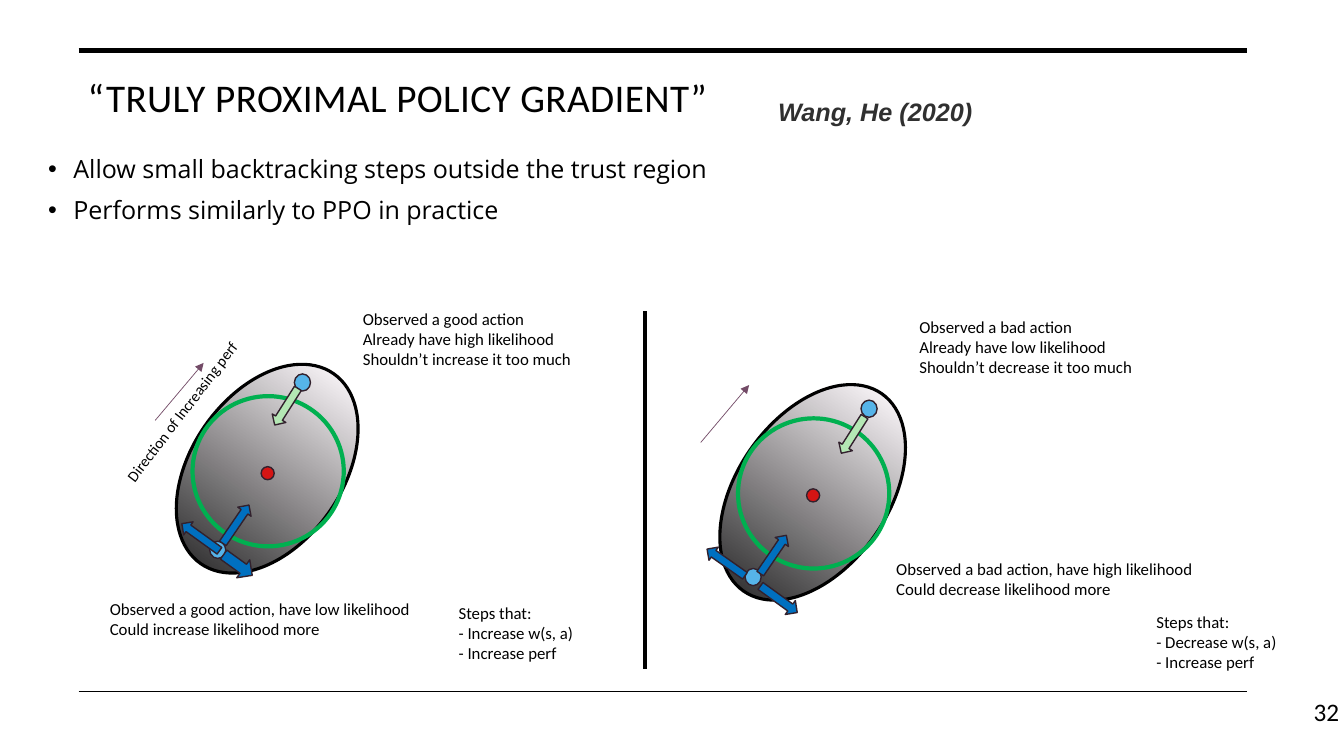
from copy import deepcopy

from lxml import etree
from pptx import Presentation
from pptx.dml.color import RGBColor
from pptx.enum.shapes import MSO_CONNECTOR, MSO_SHAPE
from pptx.enum.text import MSO_ANCHOR, PP_ALIGN
from pptx.oxml.ns import qn
from pptx.util import Inches, Pt

LINE = MSO_CONNECTOR.STRAIGHT
OVAL, ARROW = MSO_SHAPE.OVAL, MSO_SHAPE.DOWN_ARROW
LEFT, RIGHT = PP_ALIGN.LEFT, PP_ALIGN.RIGHT
TOP, MIDDLE = MSO_ANCHOR.TOP, MSO_ANCHOR.MIDDLE

COLORS = {
    "black": "000000", "light": "F9F5F8", "outline": "32212D", "red": "D51514",
    "sky": "56B4E9", "ring": "00B050", "blue": "0070C0", "mint": "B4E7B4",
    "plum": "734B67", "cite": "303030",
}
RGB = {name: RGBColor.from_string(value) for name, value in COLORS.items()}
U = Inches(0.1)  # grid unit: every position below counts columns and rows of it

prs = Presentation()
prs.slide_width, prs.slide_height = Inches(13.33), Inches(7.5)
s = prs.slides.add_slide(prs.slide_layouts[6])


def add_part(kind, grid, color, width, fill=None, angle=0):
    """Line (grid is x1, y1, x2, y2) or shape (grid is x, y, w, h)."""
    place = [round(v * U) for v in grid]
    if kind == LINE:
        sp = s.shapes.add_connector(kind, *place)
        etree.SubElement(sp._element.spPr, qn("a:effectLst"))
    else:
        sp = s.shapes.add_shape(kind, *place)
        sp.shadow.inherit = False
        sp.rotation = angle
        if fill:
            sp.fill.solid()
            sp.fill.fore_color.rgb = RGB[fill]
        else:
            sp.fill.background()
    sp.line.color.rgb = RGB[color]
    sp.line.width = Pt(width)
    return sp


def add_text(grid, lines, size=12, font="Calibri", color="black", align=LEFT,
             anchor=TOP, bullet=False, angle=0, **style):
    sp = s.shapes.add_textbox(*[round(v * U) for v in grid])
    sp.rotation = angle
    tf = sp.text_frame
    tf.word_wrap = True
    tf.vertical_anchor = anchor
    for i, line in enumerate(lines):
        p = tf.paragraphs[0] if i == 0 else tf.add_paragraph()
        p.alignment = align
        if bullet:
            p.line_spacing = 0.9
            p.space_before = Pt(10 if i else 0)
            pPr = p._p.get_or_add_pPr()
            pPr.set("marL", str(Inches(0.25)))
            pPr.set("indent", str(-Inches(0.25)))
            etree.SubElement(pPr, qn("a:buFont")).set("typeface", "Arial")
            etree.SubElement(pPr, qn("a:buChar")).set("char", "•")
        r = p.add_run()
        r.text = line
        r.font.color.rgb = RGB[color]
        for name, value in {"size": Pt(size), "name": font, **style}.items():
            setattr(r.font, name, value)
    return sp


# Frame rules, heading, bullets and page number
for y, width in ((5, 3.5), (68.6, 1)):
    add_part(LINE, (7.8, y, 123.7, y), "black", width)
title = add_text((7.7, 6.8, 116.9, 9.7), ["“TRULY PROXIMAL POLICY GRADIENT”"], size=28)
title.text_frame.paragraphs[0].runs[0].font._element.set("spc", "30")
add_text((76.2, 9.1, 71.4, 4), ["Wang, He (2020)"], size=18, font="Arial",
         color="cite", bold=True, italic=True)
add_text((3.8, 15.1, 112.6, 8.8),
         ["Allow small backtracking steps outside the trust region",
          "Performs similarly to PPO in practice"],
         size=17.9, font="Open Sans", bullet=True)
add_text((126.4, 68.6, 7.4, 4), ["32"], size=18, align=RIGHT, anchor=MIDDLE)

# Two trust region diagrams; ring, centre and direction arrow share one offset
panels = [
    {"dx": 0, "dy": 0, "region": (19, 35, 15, 23),
     "dots": [(29.2, 37.1), (20.8, 53.7)],
     "arrows": [("mint", 32.4, (27.6, 38.2, 1.6, 4.3)),
                ("blue", 125.8, (19.1, 51, 1.6, 4.6)),
                ("blue", 214.3, (22.6, 49.7, 1.6, 4.6)),
                ("blue", 305.9, (22.5, 54.3, 2.2, 3.5))]},
    {"dx": 54.1, "dy": 2.2, "region": (73.1, 36.9, 15, 23.9),
     "dots": [(85.4, 39.7), (73.9, 56.4)],
     "arrows": [("mint", 32.4, (83.8, 41, 1.6, 4.3)),
                ("blue", 125.2, (71.2, 53.5, 1.6, 4.6)),
                ("blue", 214.3, (75.9, 52.7, 1.6, 4.6)),
                ("blue", 305.9, (76.4, 57.2, 1.7, 4.5))]},
]
for panel in panels:
    dx, dy = panel["dx"], panel["dy"]

    # Shaded region
    region = add_part(OVAL, panel["region"], "black", 2.25, angle=35)
    region.fill.gradient()
    region.fill.gradient_angle = 270
    stops = region.fill.gradient_stops
    first = stops[0]._gs
    first.addnext(deepcopy(first))
    shades = ((0.02, "black"), (0.17, "light"), (1, "black"))
    for stop, (position, shade) in zip(region.fill.gradient_stops, shades):
        stop.position = position
        stop.color.rgb = RGB[shade]

    # Ring, centre and direction of increasing performance
    add_part(OVAL, (19.1 + dx, 39.3 + dy, 15, 14.9), "ring", 3)
    add_part(OVAL, (25.9 + dx, 46.3 + dy, 1.3, 1.3), "outline", 1, "red")
    direction = add_part(LINE, (15.4 + dx, 41.7 + dy, 20.2 + dx, 36 + dy), "plum", 0.5)
    ln = direction.line._get_or_add_ln()
    etree.SubElement(ln, qn("a:tailEnd")).set("type", "triangle")

    # Observed actions and their steps
    for x, y in panel["dots"]:
        add_part(OVAL, (x, y, 1.6, 1.7), "outline", 1, "sky")
    for fill, angle, grid in panel["arrows"]:
        add_part(ARROW, grid, "outline", 1, fill, angle)

add_part(LINE, (64, 30.9, 64, 66.4), "black", 3)

# Labels
add_text((5.5, 33.1, 34.8, 2.9), ["Direction of Increasing perf"], size=11, angle=307.4)
labels = [
    ((35, 30.1, 25.5, 7.1), ["Observed a good action", "Already have high likelihood",
                             "Shouldn’t increase it too much"]),
    ((90.2, 30.9, 25.5, 7.1), ["Observed a bad action", "Already have low likelihood",
                               "Shouldn’t decrease it too much"]),
    ((9.9, 58.9, 36.2, 5), ["Observed a good action, have low likelihood",
                            "Could increase likelihood more"]),
    ((87.9, 54.9, 36.2, 5), ["Observed a bad action, have high likelihood",
                             "Could decrease likelihood more"]),
    ((44.5, 59.3, 25.5, 7.1), ["Steps that:", "- Increase w(s, a)", "- Increase perf"]),
    ((113.7, 60.2, 25.5, 7.1), ["Steps that:", "- Decrease w(s, a)", "- Increase perf"]),
]
for grid, lines in labels:
    add_text(grid, lines)

prs.save("out.pptx")
